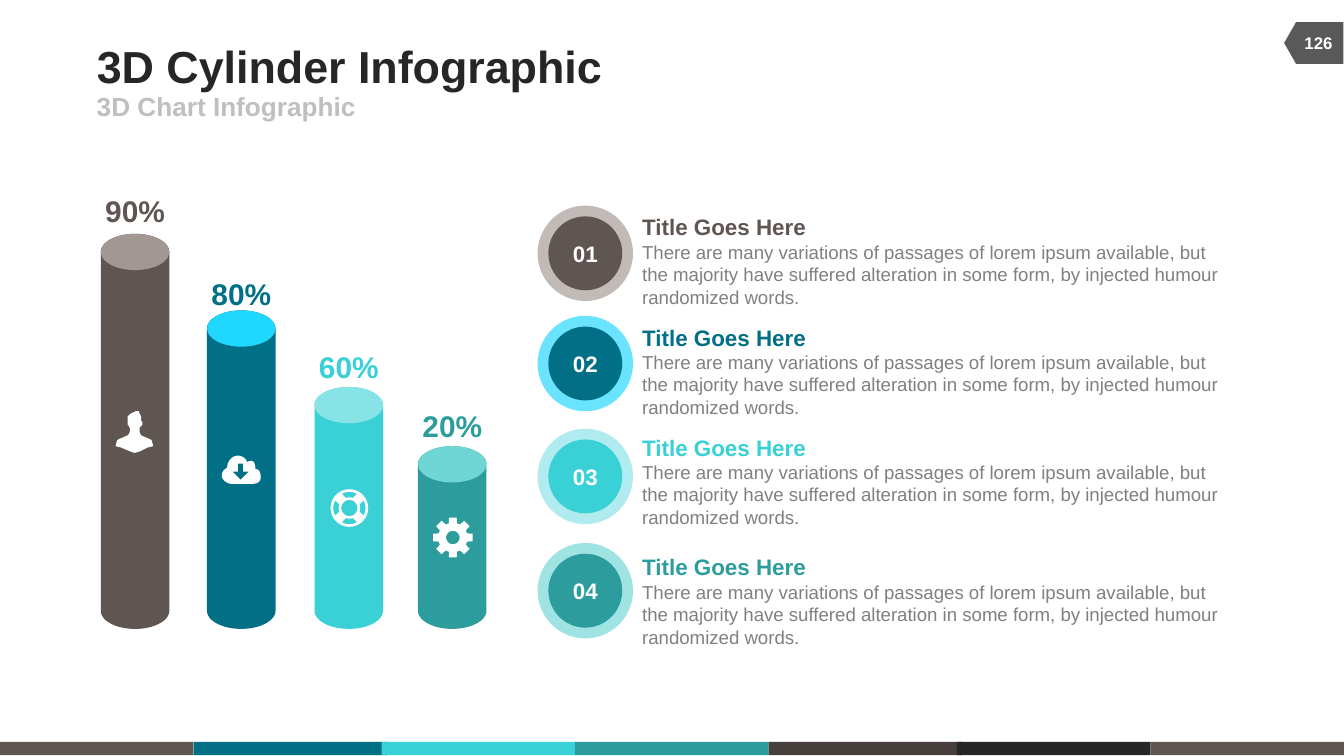
from dataclasses import dataclass
from math import cos, radians, sin

from pptx import Presentation
from pptx.dml.color import RGBColor
from pptx.enum.shapes import MSO_SHAPE
from pptx.enum.text import MSO_ANCHOR, MSO_AUTO_SIZE, PP_ALIGN
from pptx.util import Inches, Pt

RECT, OVAL = MSO_SHAPE.RECTANGLE, MSO_SHAPE.OVAL
TAG = MSO_SHAPE.FLOWCHART_OFFPAGE_CONNECTOR
LEFT, CENTER = PP_ALIGN.LEFT, PP_ALIGN.CENTER
TOP, MIDDLE, BOTTOM = MSO_ANCHOR.TOP, MSO_ANCHOR.MIDDLE, MSO_ANCHOR.BOTTOM

Points = list[tuple[float, float]]


@dataclass(frozen=True)
class Theme:
    font: str = "Arial"
    brown: str = "5F5551"
    blue: str = "016F86"
    aqua: str = "39D0D6"
    teal: str = "2D9C9C"
    umber: str = "473F3C"
    ink: str = "262626"
    tag: str = "595959"
    subtitle: str = "BFBFBF"
    body: str = "808080"
    white: str = "FFFFFF"
    title_pt: int = 24
    percent_pt: int = 16
    subtitle_pt: int = 14
    heading_pt: int = 12
    body_pt: int = 10
    page_pt: int = 9


@dataclass(frozen=True)
class Cylinder:
    percent: str
    left: float
    top: float
    label_top: float
    color: str
    cap: str


@dataclass(frozen=True)
class Item:
    number: str
    ring_top: float
    text_top: float
    color: str
    ring: str


T = Theme()
CYL_W, CYL_BASE, CAP_H = 0.51, 4.68, 0.27
RING, DISC = 0.71, 0.55
HEADING = "Title Goes Here"
BODY = ("There are many variations of passages of lorem ipsum available, but the "
        "majority have suffered alteration in some form, by injected humour "
        "randomized words.")

CYLINDERS = [
    Cylinder("90%", 0.75, 1.74, 1.43, T.brown, "A39793"),
    Cylinder("80%", 1.54, 2.31, 2.05, T.blue, "20D7FD"),
    Cylinder("60%", 2.34, 2.88, 2.59, T.aqua, "88E3E6"),
    Cylinder("20%", 3.11, 3.32, 3.03, T.teal, "6FD5D5"),
]
ITEMS = [
    Item("01", 1.53, 1.54, T.brown, "C2BAB7"),
    Item("02", 2.35, 2.36, T.blue, "6AE4FE"),
    Item("03", 3.19, 3.18, T.aqua, "B0ECEF"),
    Item("04", 4.04, 4.07, T.teal, "9FE3E3"),
]
STRIPES = [(0, T.brown), (1.44, T.blue), (2.84, T.aqua), (4.28, T.teal),
           (5.72, T.umber), (7.12, T.ink), (8.56, T.brown)]


def paint(sp, color: str) -> None:
    sp.shadow.inherit = False
    sp.fill.solid()
    sp.fill.fore_color.rgb = RGBColor.from_string(color)
    sp.line.fill.background()


def add_preset(s, kind, x: float, y: float, w: float, h: float, color: str):
    sp = s.shapes.add_shape(kind, Inches(x), Inches(y), Inches(w), Inches(h))
    paint(sp, color)
    return sp


def add_outline(s, contours: list[Points], color: str) -> None:
    """Draw closed contours as one freeform; inner contours are holes."""
    scaled = [[(Inches(x), Inches(y)) for x, y in c] for c in contours]
    fb = s.shapes.build_freeform(*scaled[0][0])
    for i, pts in enumerate(scaled):
        if i:
            fb.move_to(*pts[0])
        fb.add_line_segments(pts[1:], close=True)
    paint(fb.convert_to_shape(), color)


def arc(cx: float, cy: float, rx: float, ry: float, start: float = 0,
        end: float = 360, steps: int = 36) -> Points:
    angles = [radians(start + (end - start) * i / steps) for i in range(steps + 1)]
    return [(cx + rx * cos(a), cy + ry * sin(a)) for a in angles]


def curve(start: tuple[float, float], *cubics: tuple, steps: int = 8) -> Points:
    pts = [start]
    for x1, y1, x2, y2, x3, y3 in cubics:
        x0, y0 = pts[-1]
        for i in range(1, steps + 1):
            t = i / steps
            k = (1 - t) ** 3, 3 * t * (1 - t) ** 2, 3 * t * t * (1 - t), t ** 3
            pts.append((k[0] * x0 + k[1] * x1 + k[2] * x2 + k[3] * x3,
                        k[0] * y0 + k[1] * y1 + k[2] * y2 + k[3] * y3))
    return pts


def add_run(p, text: str, size: int, color: str, bold: bool = True) -> None:
    r = p.add_run()
    r.text = text
    r.font.name, r.font.size, r.font.bold = T.font, Pt(size), bold
    r.font.color.rgb = RGBColor.from_string(color)


def set_frame(sp, align=LEFT, anchor=TOP, inset: bool = False, wrap: bool = True):
    tf = sp.text_frame
    tf.auto_size = MSO_AUTO_SIZE.NONE
    tf.word_wrap, tf.vertical_anchor = wrap, anchor
    if not inset:
        tf.margin_left = tf.margin_right = tf.margin_top = tf.margin_bottom = 0
    tf.paragraphs[0].alignment = align
    return tf


def add_text(s, x: float, y: float, w: float, h: float, text: str, size: int,
             color: str, **frame):
    sp = s.shapes.add_textbox(Inches(x), Inches(y), Inches(w), Inches(h))
    tf = set_frame(sp, **frame)
    add_run(tf.paragraphs[0], text, size, color)
    return tf


def add_cylinder(s, c: Cylinder) -> None:
    cx, rx, ry = c.left + CYL_W / 2, CYL_W / 2, CAP_H / 2
    body = (arc(cx, CYL_BASE - ry, rx, ry, 0, 180)
            + arc(cx, c.top + ry, rx, ry, 180, 360))
    add_outline(s, [body], c.color)
    add_preset(s, OVAL, c.left, c.top, CYL_W, CAP_H, c.cap)
    add_text(s, c.left + 0.03, c.label_top, 0.45, 0.27, c.percent, T.percent_pt,
             c.color, align=CENTER, anchor=BOTTOM, wrap=False)


def add_item(s, item: Item) -> None:
    gap = (RING - DISC) / 2
    add_preset(s, OVAL, 4, item.ring_top, RING, RING, item.ring)
    disc = add_preset(s, OVAL, 4 + gap, item.ring_top + gap, DISC, DISC, item.color)
    tf = set_frame(disc, CENTER, MIDDLE)
    add_run(tf.paragraphs[0], item.number, T.heading_pt, T.white)
    tf = add_text(s, 4.68, item.text_top, 4.6, 0.81, HEADING, T.heading_pt,
                  item.color, inset=True)
    add_run(tf.add_paragraph(), BODY, T.body_pt, T.body, bold=False)


def add_icons(s) -> None:
    # Person
    person = [(1.13, 3.28), (1.12, 3.27), (1.05, 3.24), (1.04, 3.22), (1.04, 3.18),
              (1.06, 3.16), (1.06, 3.14), (1.05, 3.13), (1.05, 3.10), (1.04, 3.08),
              (1.03, 3.06), (1.04, 3.06), (1.01, 3.06), (0.97, 3.08), (0.95, 3.10),
              (0.95, 3.16), (0.96, 3.17), (0.97, 3.20), (0.96, 3.23), (0.95, 3.24),
              (0.88, 3.27), (0.87, 3.28), (0.86, 3.32), (0.90, 3.33), (0.97, 3.36),
              (1.00, 3.37), (1.04, 3.36), (1.10, 3.33), (1.14, 3.32)]
    add_outline(s, [person], T.white)
    # Cloud with a download arrow
    cloud = curve((1.72, 3.6), (1.69, 3.6, 1.65, 3.57, 1.65, 3.54),
                  (1.65, 3.51, 1.67, 3.49, 1.69, 3.48), (1.69, 3.43, 1.73, 3.39, 1.77, 3.39),
                  (1.8, 3.39, 1.83, 3.41, 1.84, 3.44), (1.85, 3.43, 1.86, 3.43, 1.87, 3.43),
                  (1.89, 3.43, 1.9, 3.45, 1.9, 3.49), (1.93, 3.49, 1.94, 3.52, 1.94, 3.55),
                  (1.94, 3.58, 1.92, 3.6, 1.88, 3.6))
    arrow = [(1.77, 3.45), (1.81, 3.45), (1.81, 3.51), (1.85, 3.51), (1.79, 3.57),
             (1.73, 3.51), (1.77, 3.51)]
    add_outline(s, [cloud, arrow], T.white)
    # Lifebuoy
    cx, cy = 2.6, 3.78
    slots = [arc(cx, cy, 0.12, 0.12, a - 28, a + 28, 8)
             + arc(cx, cy, 0.08, 0.08, a + 20, a - 20, 8) for a in range(0, 360, 90)]
    rings = [arc(cx, cy, r, r) for r in (0.14, 0.06)]
    add_outline(s, rings + slots, T.white)
    # Gear
    cx, cy = 3.37, 4
    teeth = [pt for a in range(0, 360, 45)
             for r, turn in ((0.11, -16), (0.15, -11), (0.15, 11), (0.11, 16))
             for pt in arc(cx, cy, r, r, a + turn, a + turn, 1)[:1]]
    add_outline(s, [teeth, arc(cx, cy, 0.05, 0.05)], T.white)


def main() -> None:
    prs = Presentation()
    prs.slide_width = Inches(10)
    prs.slide_height = prs.slide_width * 9 // 16
    s = prs.slides.add_slide(prs.slide_layouts[5])

    # Footer stripes and page tag
    for x, color in STRIPES:
        add_preset(s, RECT, x, 5.52, 1.44, 0.1, color)
    add_preset(s, TAG, 9.62, 0.1, 0.31, 0.44, T.tag).rotation = 90
    add_text(s, 9.6, 0.17, 0.42, 0.3, "126", T.page_pt, T.white,
             align=CENTER, anchor=MIDDLE, wrap=False)

    # Title and subtitle
    title = s.shapes.title
    title.left, title.top = Inches(0.72), Inches(0.29)
    title.width, title.height = Inches(6.17), Inches(0.39)
    tf = set_frame(title, anchor=MIDDLE)
    add_run(tf.paragraphs[0], "3D Cylinder Infographic", T.title_pt, T.ink)
    add_text(s, 0.72, 0.68, 4.5, 0.22, "3D Chart Infographic", T.subtitle_pt,
             T.subtitle, anchor=MIDDLE)

    # Cylinders with icons, then the numbered list
    for c in CYLINDERS:
        add_cylinder(s, c)
    add_icons(s)
    for item in ITEMS:
        add_item(s, item)

    prs.save("out.pptx")


if __name__ == "__main__":
    main()
